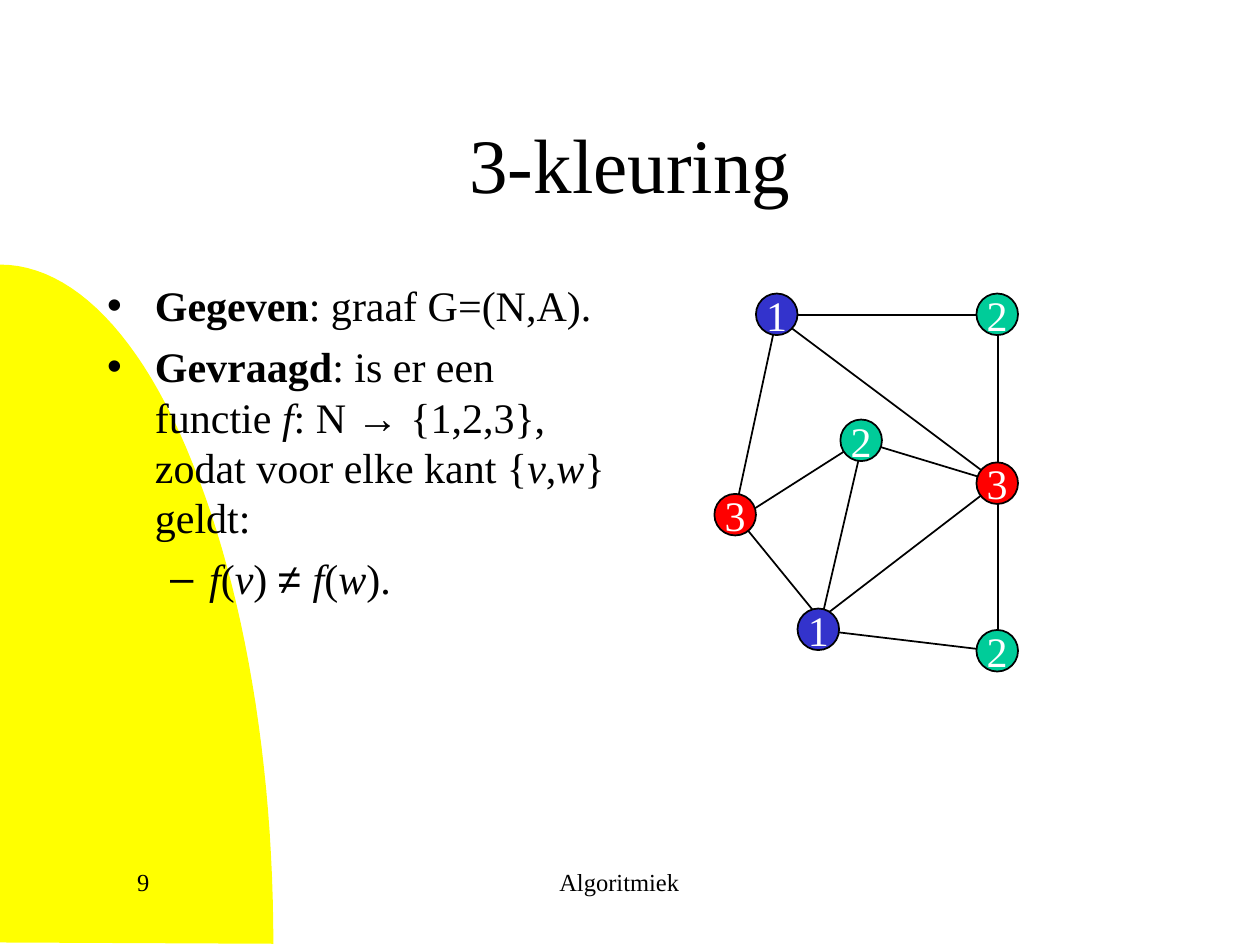
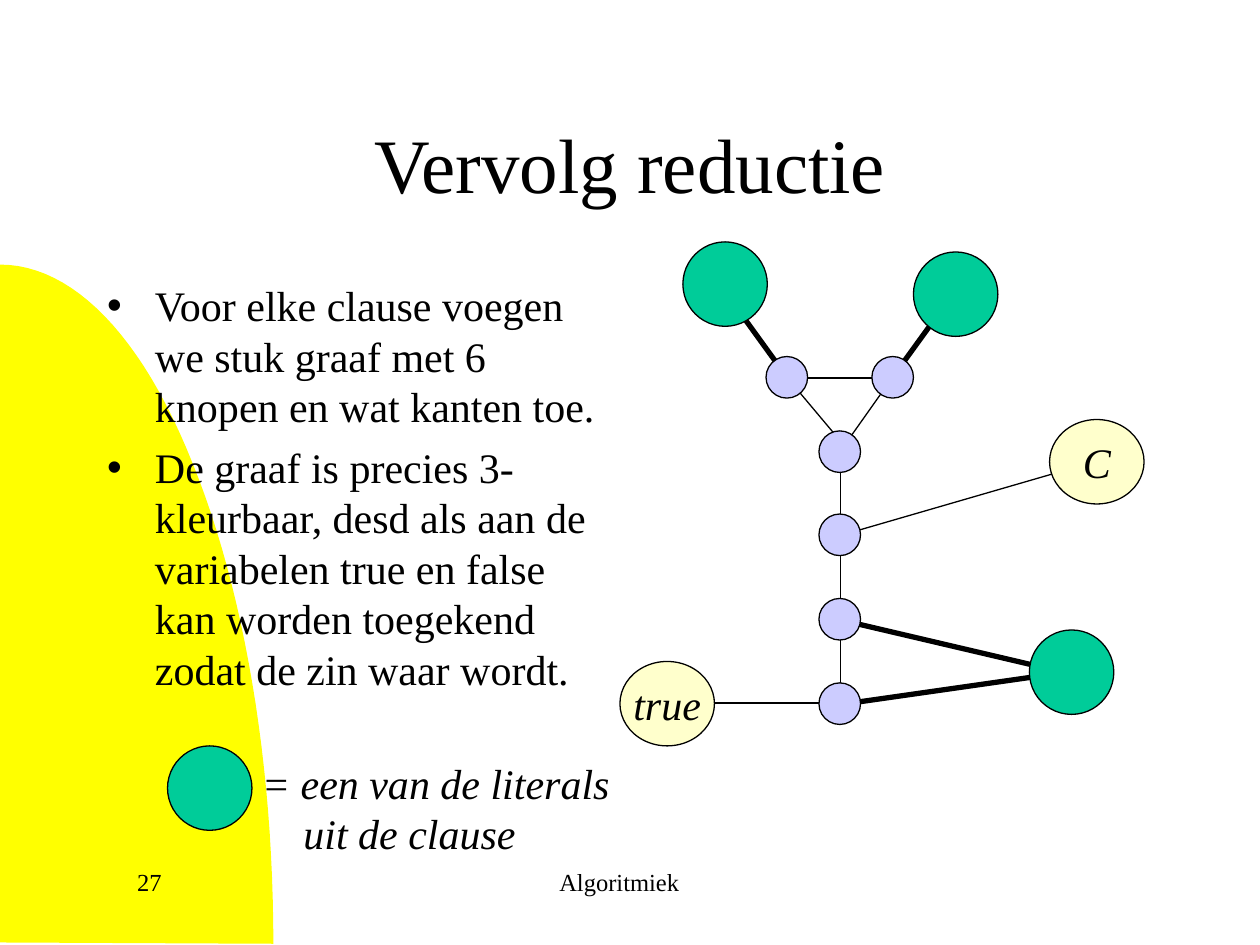
from dataclasses import dataclass

from lxml.etree import SubElement
from pptx import Presentation
from pptx.dml.color import RGBColor as RGB
from pptx.enum.shapes import MSO_CONNECTOR as Line, MSO_SHAPE as Preset
from pptx.enum.text import MSO_AUTO_SIZE as AutoSize, MSO_ANCHOR as Anchor, PP_ALIGN as Align
from pptx.oxml.ns import qn
from pptx.util import Inches, Pt


@dataclass(frozen=True)
class Theme:
    font: str = "Times New Roman"
    symbol_font: str = "Arial"
    title_size: int = 44
    body_size: int = 24
    footer_size: int = 14
    ink: RGB = RGB(0x00, 0x00, 0x00)
    white: RGB = RGB(0xFF, 0xFF, 0xFF)
    band: RGB = RGB(0xFF, 0xFF, 0x00)
    blue: RGB = RGB(0x33, 0x33, 0xCC)
    green: RGB = RGB(0x00, 0xCC, 0x99)
    red: RGB = RGB(0xFF, 0x00, 0x00)
    lilac: RGB = RGB(0xCC, 0xCC, 0xFF)
    cream: RGB = RGB(0xFF, 0xFF, 0xCC)


theme = Theme()


def style(paragraph, size, color=theme.ink, align=Align.LEFT, italic=None):
    paragraph.alignment = align
    font = paragraph.font
    font.name, font.size, font.italic = theme.font, Pt(size), italic
    font.color.rgb = color


def draw_graph(slide, edges, nodes, outline, label_color, italic=None):
    for x1, y1, x2, y2, weight in edges:
        edge = slide.shapes.add_connector(
            Line.STRAIGHT, Inches(x1), Inches(y1), Inches(x2), Inches(y2))
        edge.line.color.rgb = theme.ink
        edge.line.width = Pt(weight)
        SubElement(edge._element.spPr, qn("a:effectLst"))
    for x, y, width, height, fill, label in nodes:
        node = slide.shapes.add_shape(
            Preset.OVAL, Inches(x), Inches(y), Inches(width), Inches(height))
        node.shadow.inherit = False
        node.fill.solid()
        node.fill.fore_color.rgb = fill
        node.line.color.rgb = theme.ink
        node.line.width = Pt(outline)
        if label:
            node.text_frame.text = label
            node.text_frame.word_wrap = False
            style(node.text_frame.paragraphs[0], theme.body_size, label_color,
                  Align.CENTER, italic)


# Content: each bullet is a level and its runs; b bold, i italic, s symbol font
pages = [
    ("3-kleuring", "9", [
        (0, [("Gegeven", "b"), (": graaf G=(N,A).", "")]),
        (0, [("Gevraagd", "b"), (": is er een functie ", ""), ("f", "i"), (": N ", ""),
             ("→ ", "s"), ("{1,2,3}, zodat voor elke kant {", ""), ("v", "i"),
             (",", ""), ("w", "i"), ("} geldt:", "")]),
        (1, [("f", "i"), ("(", ""), ("v", "i"), (") ", ""), ("≠ ", "s"),
             ("f", "i"), ("(", ""), ("w", "i"), (").", "")]),
    ]),
    ("Vervolg reductie", "27", [
        (0, [("Voor elke clause voegen we stuk graaf met 6 knopen en wat kanten toe.", "")]),
        (0, [("De graaf is precies 3-kleurbaar, desd als aan de variabelen true en false "
              "kan worden toegekend zodat de zin waar wordt.", "")]),
    ]),
]
indents = [(0.38, -0.38), (0.81, -0.31)]

prs = Presentation()
prs.slide_width, prs.slide_height = Inches(10), Inches(7.5)
layout = prs.slide_layouts[1]

# Shared places of title and body
for holder, box in zip(layout.placeholders, [(0.75, 0.67, 8.5, 1.25), (0.75, 2.17, 4.17, 4.5)]):
    holder.left, holder.top, holder.width, holder.height = map(Inches, box)

# Slides with title, bullets and footer
for heading, number, bullets in pages:
    slide = prs.slides.add_slide(layout)
    title, body = slide.placeholders
    title.text_frame.text = heading
    title.text_frame.vertical_anchor = Anchor.MIDDLE
    title.text_frame.auto_size = AutoSize.NONE
    style(title.text_frame.paragraphs[0], theme.title_size, align=Align.CENTER)

    body.text_frame.auto_size = AutoSize.NONE
    for index, (level, runs) in enumerate(bullets):
        bullet = body.text_frame.paragraphs[0] if index == 0 else body.text_frame.add_paragraph()
        bullet.level = level
        bullet.space_before = Pt(6)
        style(bullet, theme.body_size)
        margin, hanging = indents[level]
        bullet._p.pPr.set("marL", str(Inches(margin)))
        bullet._p.pPr.set("indent", str(Inches(hanging)))
        for text, mark in runs:
            run = bullet.add_run()
            run.text = text
            if mark == "b":
                run.font.bold = True
            elif mark == "i":
                run.font.italic = True
            elif mark == "s":
                run.font.name = theme.symbol_font

    for text, left, width, align in [("Algoritmiek", 2.92, 3.75, Align.CENTER),
                                     (number, 0.75, 2.08, Align.LEFT)]:
        footer = slide.shapes.add_textbox(Inches(left), Inches(6.83), Inches(width), Inches(0.5))
        footer.text_frame.word_wrap = True
        footer.text_frame.text = text
        style(footer.text_frame.paragraphs[0], theme.footer_size, align=align)
        footer.text_frame.paragraphs[0]._p.pPr.set("marL", str(Inches(0.24)))

coloring, reduction = prs.slides

# Yellow band: two Bézier curves, moved to the layout behind everything
curves = [[(0, 2.1), (0.58, 2.1), (1.13, 2.67), (1.53, 3.68)],
          [(1.53, 3.68), (1.94, 4.69), (2.17, 6.06), (2.17, 7.49)]]
steps = 24
rim = []
for curve in curves:
    for step in range(1, steps + 1):
        t = step / steps
        weights = [(1 - t) ** 3, 3 * t * (1 - t) ** 2, 3 * t ** 2 * (1 - t), t ** 3]
        rim.append(tuple(Inches(sum(w * point[axis] for w, point in zip(weights, curve)))
                         for axis in (0, 1)))
builder = coloring.shapes.build_freeform(0, Inches(2.1))
builder.add_line_segments(rim + [(0, Inches(7.48))], close=True)
band = builder.convert_to_shape()
band.shadow.inherit = False
band.fill.solid()
band.fill.fore_color.rgb = theme.band
band.line.fill.background()
layout.shapes._spTree.insert(2, band._element)

# Coloured graph
small, large = 0.33, 0.67
number_colors = {"1": theme.blue, "2": theme.green, "3": theme.red}
colored_nodes = [(6, 2.33, "1"), (7.75, 2.33, "2"), (7.75, 3.67, "3"), (7.75, 5, "2"),
                 (6.33, 4.83, "1"), (5.67, 3.92, "3"), (6.67, 3.33, "2")]
colored_edges = [
    (6.25, 2.58, 7.92, 3.83), (6.83, 3.58, 6.5, 5), (7.92, 3.83, 6.5, 4.92),
    (7.92, 3.75, 7.92, 5.25), (6.5, 5, 7.92, 5.17), (6.83, 3.5, 7.92, 3.83),
    (7.92, 2.58, 7.92, 3.83), (5.92, 4.08, 6.83, 3.5), (5.83, 4.08, 6.58, 5),
    (6.17, 2.5, 5.83, 4.08), (6.08, 2.5, 7.92, 2.5),
]
draw_graph(coloring, [(*edge, 1) for edge in colored_edges],
           [(x, y, small, small, number_colors[n], n) for x, y, n in colored_nodes],
           1, theme.white)

# Clause gadget: thick edges lead to the literals
thin, thick = 0.75, 3
gadget_edges = [
    (6.67, 4.92, 8.42, 5.33, thick), (6.75, 5.58, 8.5, 5.33, thick),
    (6.67, 5.58, 5.42, 5.58, thin), (6.67, 4.25, 8.67, 3.67, thin),
    (7.08, 3, 7.5, 2.42, thick), (6.25, 3, 5.83, 2.42, thick),
    (7.08, 3, 6.67, 3.58, thin), (6.25, 3, 7.08, 3, thin),
    (6.25, 3, 6.67, 3.5, thin), (6.67, 3.5, 6.67, 5.58, thin),
]
inner = [(6.08, 2.83), (6.92, 2.83), (6.5, 3.42), (6.5, 4.08), (6.5, 4.75), (6.5, 5.42)]
fixed = [(4.92, 5.25, "true"), (8.33, 3.33, "C")]
literals = [(5.42, 1.92), (7.25, 2), (8.17, 5), (1.33, 5.92)]
gadget_nodes = ([(x, y, small, small, theme.lilac, "") for x, y in inner]
                + [(x, y, 0.75, large, theme.cream, label) for x, y, label in fixed]
                + [(x, y, large, large, theme.green, "") for x, y in literals])
draw_graph(reduction, gadget_edges, gadget_nodes, thin, theme.ink, italic=True)

# Legend beside the lowest literal
legend = reduction.shapes.add_textbox(Inches(1.98), Inches(5.96), Inches(2.96), Inches(0.9))
legend.text_frame.word_wrap = False
legend.text_frame.text = "= een van de literals\nuit de clause"
for line in legend.text_frame.paragraphs:
    style(line, theme.body_size, italic=True)
line._p.pPr.set("marL", str(Inches(0.33)))

prs.save("out.pptx")
